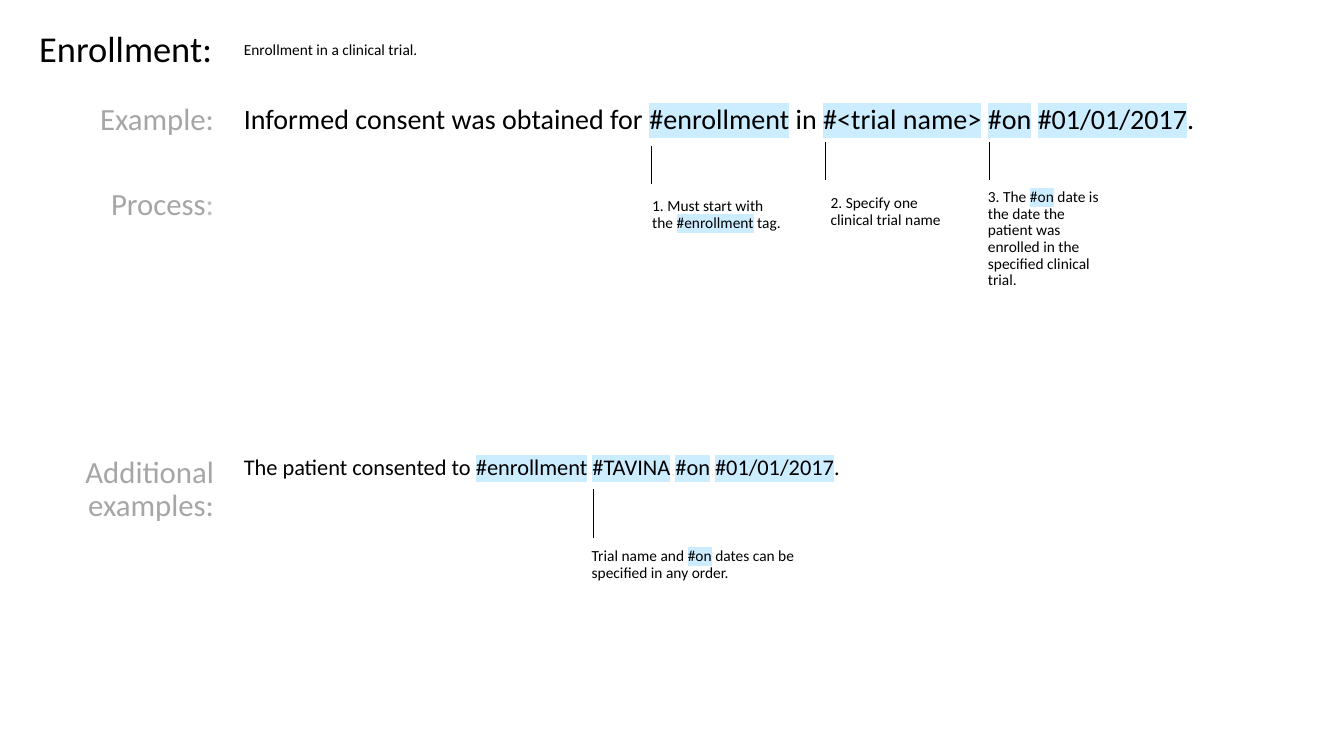
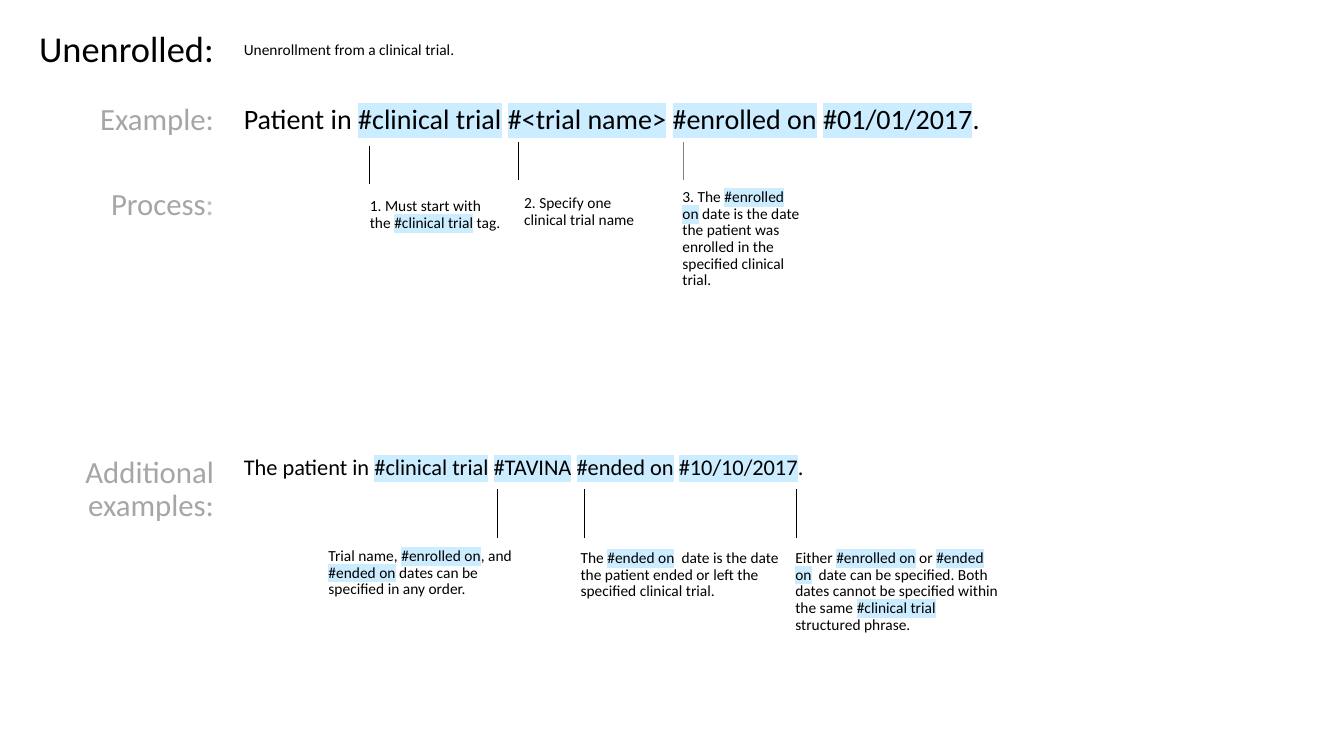
from lxml import etree
from pptx import Presentation
from pptx.dml.color import RGBColor
from pptx.enum.shapes import MSO_CONNECTOR
from pptx.enum.text import MSO_ANCHOR, PP_ALIGN
from pptx.oxml.ns import qn
from pptx.util import Inches, Pt

# Shared look
FONT = "Calibri"
BLACK, GREY, PALE_GREY, RULE_GREY = "000000", "A6A6A6", "BFBFBF", "808080"
TAG_BLUE = "CCECFF"
TITLE, LABEL, EXAMPLE, EXTRA, NOTE = 26, 22, 20, 16, 11
rgb = RGBColor.from_string

# Shared grid, in inches
TITLE_LEFT, BODY_LEFT, LABEL_RIGHT = 0.29, 2.32, 2.22
HEAD_TOP, HEAD_HEIGHT = 0.22, 0.57
EXTRA_TOP = 4.48
STEP_BOXES = [(1.92, 1.53, 0.57), (1.89, 1.4, 0.53), (1.83, 1.4, 2)]  # top, width, height
STEP_LINE_TOPS, STEP_LINE = [1.45, 1.41, 1.41], 0.38
EXTRA_LINE_TOP, EXTRA_LINE = 4.85, 0.49
EXTRA_NOTE_WIDTH, EXTRA_NOTE_HEIGHT = 2.24, 0.79

# Bars enclose the highlighted tags
SLIDES = [
    dict(
        title="Enrollment:",
        meaning="Enrollment in a clinical trial.",
        example="Informed consent was obtained for |#enrollment| in "
                "|#<trial name>| |#on| |#01/01/2017|.",
        steps=[  # note left, line x, line colour, text
            (6.37, 6.46, BLACK, "1. Must start with the |#enrollment| tag."),
            (8.14, 8.19, BLACK, "2. Specify one clinical trial name"),
            (9.7, 9.81, BLACK, "3. The |#on| date is the date the patient was "
                               "enrolled in the specified clinical trial."),
        ],
        extra="The patient consented to |#enrollment| |#TAVINA| |#on| |#01/01/2017|.",
        extra_notes=[  # note left, note top, line x, text
            (5.77, 5.39, 5.89, "Trial name and |#on| dates can be specified in any order."),
        ],
    ),
    dict(
        title="Unenrolled:",
        meaning="Unenrollment from a clinical trial.",
        example="Patient in |#clinical trial| |#<trial name>| |#enrolled on| |#01/01/2017|.",
        steps=[
            (3.57, 3.66, BLACK, "1. Must start with the |#clinical trial| tag."),
            (5.1, 5.14, BLACK, "2. Specify one clinical trial name"),
            (6.67, 6.78, RULE_GREY, "3. The |#enrolled on| date is the date the patient was "
                                    "enrolled in the specified clinical trial."),
        ],
        extra="The patient in |#clinical trial| |#TAVINA| |#ended on| |#10/10/2017|.",
        extra_notes=[
            (3.16, 5.39, 4.93, "Trial name, |#enrolled on|, and |#ended on| dates can be "
                               "specified in any order."),
            (5.66, 5.41, 5.8, "The |#ended on|  date is the date the patient ended or left "
                              "the specified clinical trial."),
            (7.79, 5.41, 7.9, "Either |#enrolled on| or |#ended on|  date can be specified. "
                              "Both dates cannot be specified within the same "
                              "|#clinical trial| structured phrase."),
        ],
    ),
]


def add_text(slide, left, top, width, height, text, size, color=BLACK,
             align=PP_ALIGN.LEFT, anchor=MSO_ANCHOR.TOP):
    box = slide.shapes.add_textbox(*map(Inches, (left, top, width, height)))
    frame = box.text_frame
    frame.word_wrap = True
    frame.vertical_anchor = anchor
    paragraph = frame.paragraphs[0]
    paragraph.alignment = align
    paragraph.line_spacing = 0.9
    paragraph.space_before = Pt(10)
    for i, part in enumerate(text.split("|")):
        run = paragraph.add_run()
        run.text = part
        run.font.size = Pt(size)
        run.font.color.rgb = rgb(color)
        if i % 2:
            highlight = etree.SubElement(run.font._element, qn("a:highlight"))
            etree.SubElement(highlight, qn("a:srgbClr"), val=TAG_BLUE)
        run.font.name = FONT
    return paragraph


def add_pointer(slide, x, top, length, color=BLACK):
    line = slide.shapes.add_connector(
        MSO_CONNECTOR.STRAIGHT, *map(Inches, (x, top + length, x, top)))
    line.line.color.rgb = rgb(color)
    line.line.width = Pt(0.5)
    etree.SubElement(line._element.spPr, qn("a:effectLst"))


prs = Presentation()
prs.slide_width, prs.slide_height = Inches(13.33), Inches(7.5)

for content in SLIDES:
    slide = prs.slides.add_slide(prs.slide_layouts[6])

    # Heading and its meaning
    add_text(slide, TITLE_LEFT, HEAD_TOP, BODY_LEFT - TITLE_LEFT, HEAD_HEIGHT,
             content["title"], TITLE, anchor=MSO_ANCHOR.MIDDLE)
    add_text(slide, BODY_LEFT, HEAD_TOP, 9.83, HEAD_HEIGHT,
             content["meaning"], NOTE, anchor=MSO_ANCHOR.MIDDLE)

    # Row labels, flush right
    for label, top, width, height in [("Example:", 0.98, 1.34, 0.47),
                                      ("Process", 1.83, 1.25, 0.57),
                                      ("Additional examples:", EXTRA_TOP, 1.5, 0.85)]:
        paragraph = add_text(slide, LABEL_RIGHT - width, top, width, height,
                             label, LABEL, GREY, PP_ALIGN.RIGHT)
        if label == "Process":
            colon = paragraph.add_run()
            colon.text = ":"
            colon.font.size, colon.font.name = Pt(LABEL), FONT
            colon.font.color.rgb = rgb(PALE_GREY)

    # Main example and its numbered steps
    add_text(slide, BODY_LEFT, 1, 10.66, 0.58, content["example"], EXAMPLE)
    for step, box, line_top in zip(content["steps"], STEP_BOXES, STEP_LINE_TOPS):
        left, x, color, text = step
        add_text(slide, left, *box, text, NOTE)
        add_pointer(slide, x, line_top, STEP_LINE, color)

    # Additional example and its notes
    add_text(slide, BODY_LEFT, EXTRA_TOP, 8.13, 1.07, content["extra"], EXTRA)
    for left, top, x, text in content["extra_notes"]:
        add_text(slide, left, top, EXTRA_NOTE_WIDTH, EXTRA_NOTE_HEIGHT, text, NOTE)
        add_pointer(slide, x, EXTRA_LINE_TOP, EXTRA_LINE)

prs.save("out.pptx")
